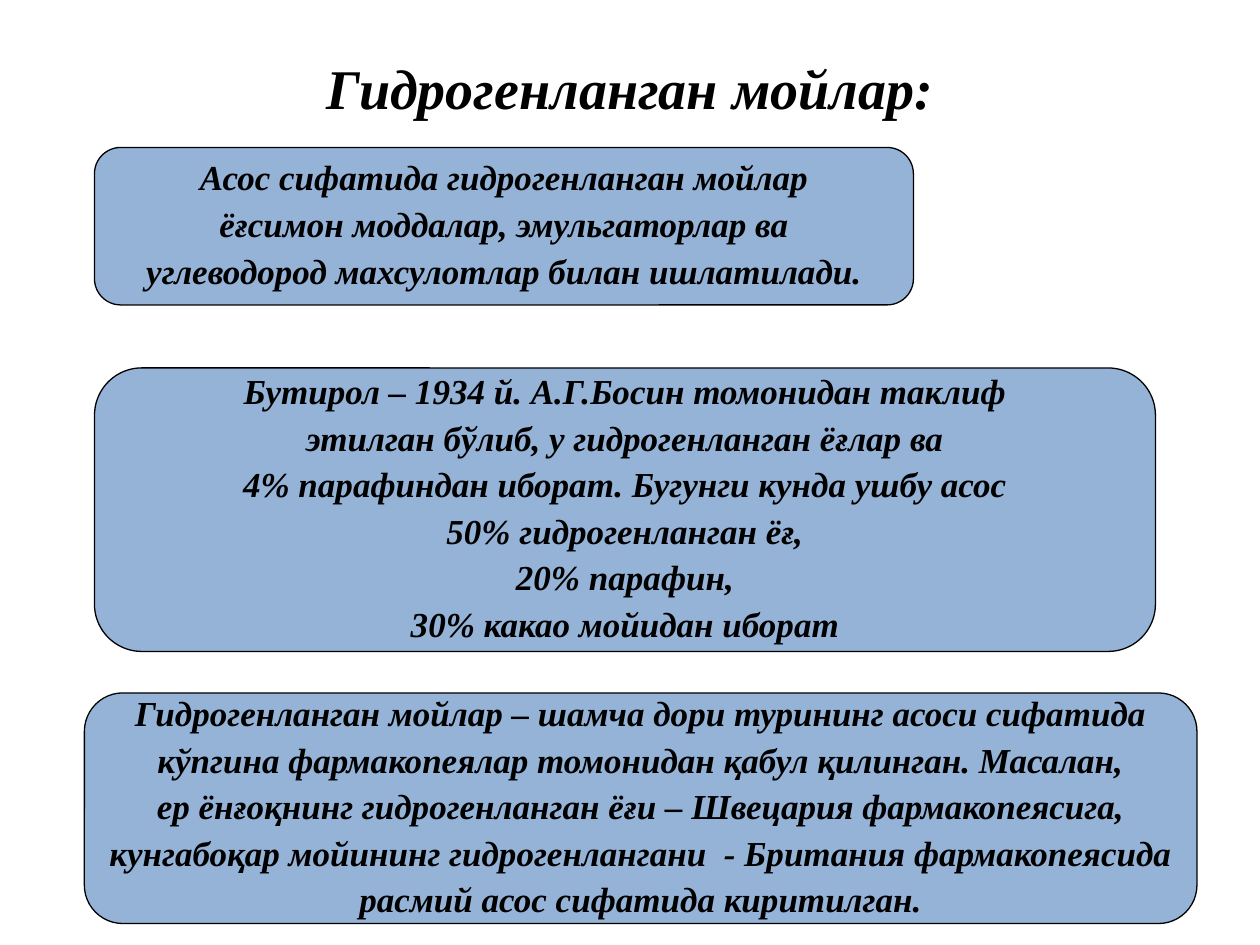
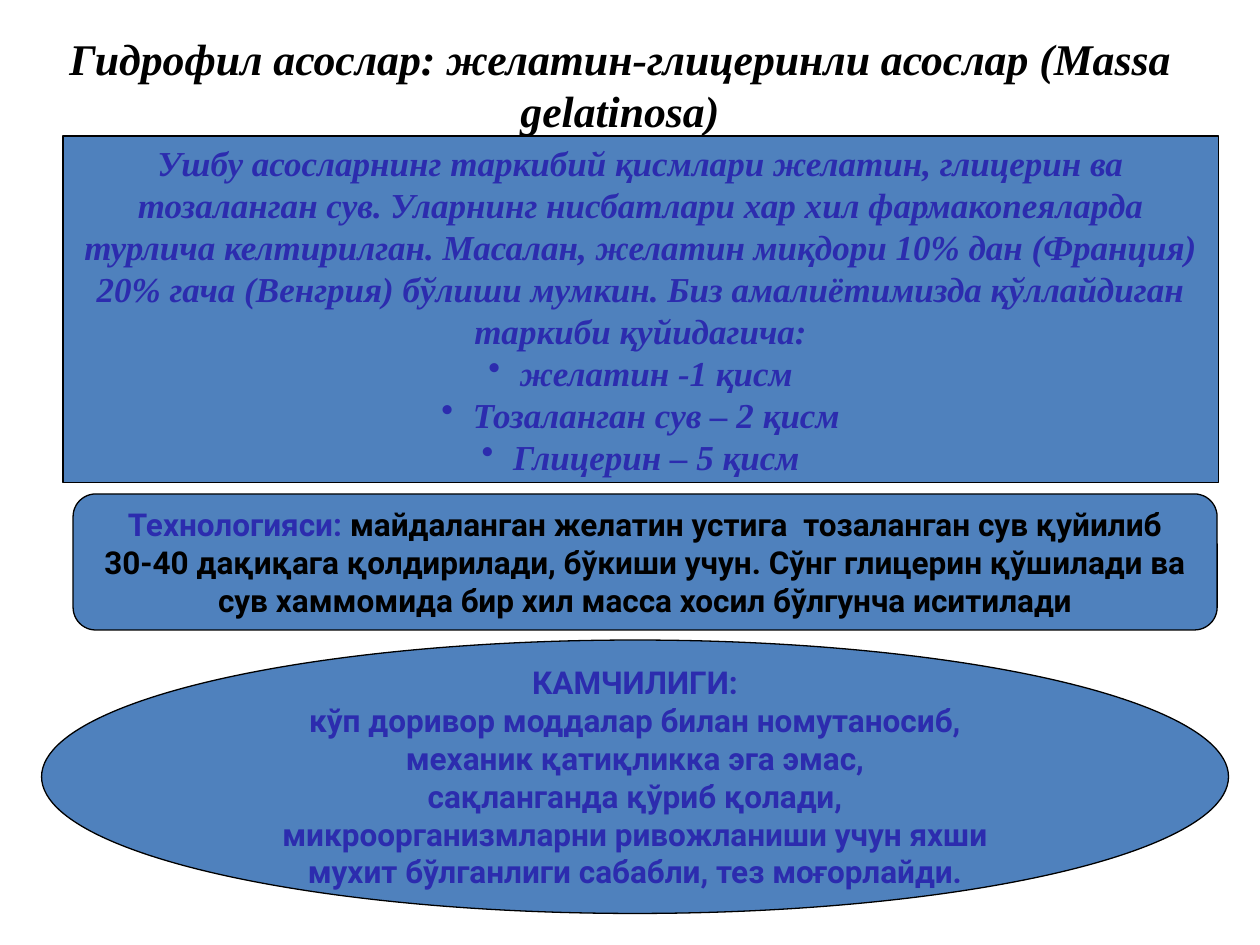
from dataclasses import dataclass

from lxml.etree import SubElement
from pptx import Presentation
from pptx.dml.color import RGBColor
from pptx.enum.shapes import MSO_SHAPE as Shape
from pptx.enum.text import MSO_ANCHOR as Anchor, MSO_AUTO_SIZE as AutoSize, PP_ALIGN as Align
from pptx.oxml.ns import qn
from pptx.slide import Slide
from pptx.text.text import _Paragraph as Paragraph
from pptx.util import Inches, Pt


@dataclass(frozen=True)
class Theme:
    black: RGBColor = RGBColor(0x00, 0x00, 0x00)
    indigo: RGBColor = RGBColor(0x2C, 0x2C, 0xAE)
    light_blue: RGBColor = RGBColor(0x95, 0xB3, 0xD7)
    blue: RGBColor = RGBColor(0x4F, 0x81, 0xBD)
    serif: str = "Times New Roman"
    sans: str = "Roboto"
    title_size: int = 32
    long_title_size: int = 25
    serif_size: int = 20
    sans_size: int = 18
    outline: float = 0.75
    bullet_indent: float = 0.25


THEME = Theme()


@dataclass(frozen=True)
class TextStyle:
    font: str
    size: int
    color: RGBColor
    italic: bool = False


@dataclass(frozen=True)
class Area:
    left: float
    top: float
    width: float
    height: float


@dataclass(frozen=True)
class Panel:
    area: Area
    lines: tuple[str, ...]
    style: TextStyle
    fill: RGBColor
    kind: Shape = Shape.ROUNDED_RECTANGLE
    bullets: tuple[str, ...] = ()
    lead: str = ""  # opening words, set in indigo
    line_spacing: float = 1.0
    space_before: int = 0


@dataclass(frozen=True)
class Page:
    title: str
    title_area: Area
    title_size: int
    panels: tuple[Panel, ...]


# Text styles
DARK_SERIF = TextStyle(THEME.serif, THEME.serif_size, THEME.black, True)
INDIGO_SERIF = TextStyle(THEME.serif, THEME.serif_size, THEME.indigo, True)
DARK_SANS = TextStyle(THEME.sans, THEME.sans_size, THEME.black)
INDIGO_SANS = TextStyle(THEME.sans, THEME.sans_size, THEME.indigo)


def light_panel(area: Area, *lines: str) -> Panel:
    return Panel(area, lines, DARK_SERIF, THEME.light_blue, line_spacing=0.9, space_before=5)


PAGES = (
    Page(
        "Гидрогенланган мойлар:", Area(0.5, 0.3, 9, 0.78), THEME.title_size,
        (
            light_panel(
                Area(0.75, 1.17, 6.5, 1.25),
                "Асос сифатида гидрогенланган мойлар",
                "ёғсимон моддалар, эмульгаторлар ва",
                "углеводород махсулотлар билан ишлатилади.",
            ),
            light_panel(
                Area(0.75, 2.92, 8.42, 2.25),
                "Бутирол – 1934 й. А.Г.Босин томонидан таклиф",
                "этилган бўлиб, у гидрогенланган ёғлар ва",
                "4% парафиндан иборат. Бугунги кунда ушбу асос",
                "50% гидрогенланган ёғ,",
                "20% парафин,",
                "30% какао мойидан иборат",
            ),
            light_panel(
                Area(0.67, 5.5, 8.83, 1.83),
                "Гидрогенланган мойлар – шамча дори турининг асоси сифатида",
                "кўпгина фармакопеялар томонидан қабул қилинган. Масалан,",
                "ер ёнғоқнинг гидрогенланган ёғи – Швецария фармакопеясига,",
                "кунгабоқар мойининг гидрогенлангани  - Британия фармакопеясида",
                "расмий асос сифатида киритилган.",
            ),
        ),
    ),
    Page(
        "Гидрофил асослар: желатин-глицеринли асослар (Massa gelatinosa)",
        Area(0.42, 0.33, 9, 0.67), THEME.long_title_size,
        (
            Panel(
                Area(0.5, 1.08, 9.17, 2.75),
                (
                    "Ушбу асосларнинг таркибий қисмлари желатин, глицерин ва",
                    "тозаланган сув. Уларнинг нисбатлари хар хил фармакопеяларда",
                    "турлича келтирилган. Масалан, желатин миқдори 10% дан (Франция)",
                    "20% гача (Венгрия) бўлиши мумкин. Биз амалиётимизда қўллайдиган",
                    "таркиби қуйидагича:",
                ),
                INDIGO_SERIF, THEME.blue, Shape.RECTANGLE,
                bullets=("желатин -1 қисм", "Тозаланган сув – 2 қисм", "Глицерин – 5 қисм"),
            ),
            Panel(
                Area(0.58, 3.92, 9.08, 1.08),
                (
                    " майдаланган желатин устига  тозаланган сув қуйилиб",
                    "30-40 дақиқага қолдирилади, бўкиши учун. Сўнг глицерин қўшилади ва",
                    "сув хаммомида бир хил масса хосил бўлгунча иситилади",
                ),
                DARK_SANS, THEME.blue, lead="Технологияси:",
            ),
            Panel(
                Area(0.33, 5.08, 9.42, 2.17),
                (
                    "КАМЧИЛИГИ:",
                    "кўп доривор моддалар билан номутаносиб,",
                    "механик қатиқликка эга эмас,",
                    "сақланганда қўриб қолади,",
                    "микроорганизмларни ривожланиши учун яхши",
                    "мухит бўлганлиги сабабли, тез моғорлайди.",
                ),
                INDIGO_SANS, THEME.blue, Shape.OVAL,
            ),
        ),
    ),
)


def add_run(paragraph: Paragraph, text: str, style: TextStyle) -> None:
    run = paragraph.add_run()
    run.text = text
    run.font.name = style.font
    run.font.size = Pt(style.size)
    run.font.bold = True
    run.font.italic = style.italic
    run.font.color.rgb = style.color


def add_bullet(paragraph: Paragraph, color: RGBColor) -> None:
    properties = paragraph._p.get_or_add_pPr()
    indent = Inches(THEME.bullet_indent)
    properties.set("marL", str(indent))
    properties.set("indent", str(-indent))
    bullet_color = SubElement(properties, qn("a:buClr"))
    SubElement(bullet_color, qn("a:srgbClr"), val=str(color))
    SubElement(properties, qn("a:buChar"), char="•")


def add_title(slide: Slide, page: Page) -> None:
    title, area = slide.shapes.title, page.title_area
    title.left, title.top = Inches(area.left), Inches(area.top)
    title.width, title.height = Inches(area.width), Inches(area.height)
    frame = title.text_frame
    frame.auto_size = AutoSize.NONE
    frame.vertical_anchor = Anchor.MIDDLE
    paragraph = frame.paragraphs[0]
    paragraph.alignment = Align.CENTER
    add_run(paragraph, page.title, TextStyle(THEME.serif, page.title_size, THEME.black, True))


def add_panel(slide: Slide, panel: Panel) -> None:
    area = panel.area
    shape = slide.shapes.add_shape(
        panel.kind, Inches(area.left), Inches(area.top), Inches(area.width), Inches(area.height)
    )
    shape.shadow.inherit = False
    shape.fill.solid()
    shape.fill.fore_color.rgb = panel.fill
    shape.line.color.rgb = THEME.black
    shape.line.width = Pt(THEME.outline)

    frame = shape.text_frame
    frame.word_wrap = False
    frame.vertical_anchor = Anchor.MIDDLE
    for index, text in enumerate(panel.lines + panel.bullets):
        paragraph = frame.add_paragraph() if index else frame.paragraphs[0]
        paragraph.alignment = Align.CENTER
        paragraph.line_spacing = panel.line_spacing
        paragraph.space_before = Pt(panel.space_before if index else 0)
        if index >= len(panel.lines):
            add_bullet(paragraph, panel.style.color)
        if panel.lead and index == 0:
            add_run(paragraph, panel.lead, INDIGO_SANS)
        add_run(paragraph, text, panel.style)


def main() -> None:
    presentation = Presentation()
    presentation.slide_width, presentation.slide_height = Inches(10), Inches(7.5)
    title_only = presentation.slide_layouts[5]
    for page in PAGES:
        slide = presentation.slides.add_slide(title_only)
        add_title(slide, page)
        for panel in page.panels:
            add_panel(slide, panel)
    presentation.save("out.pptx")


if __name__ == "__main__":
    main()
